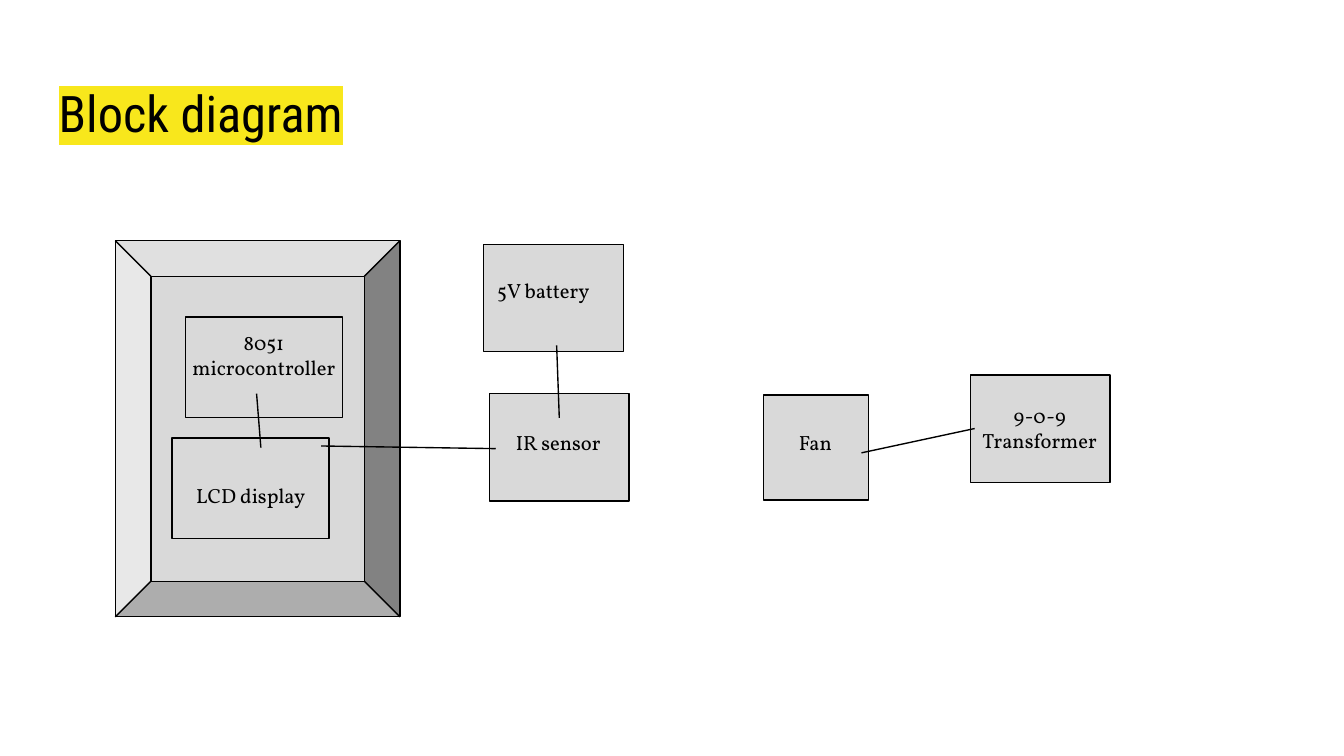
from dataclasses import dataclass

from lxml import etree
from pptx import Presentation
from pptx import util as u
from pptx.dml import color
from pptx.enum import shapes, text
from pptx.oxml import ns

BLACK = "000000"
GREY = "D9D9D9"
YELLOW = "F8E71C"
INSET = u.Cm(0.25)
LABEL_WIDTH = 3.48
LABEL_HEIGHTS = {1: 0.99, 2: 1.45}  # by number of lines


@dataclass(frozen=True)
class Block:
    """A box with a free-standing label; lengths in centimetres."""
    lines: tuple[str, ...]
    position: tuple[float, float]
    size: tuple[float, float]
    label_position: tuple[float, float]


@dataclass(frozen=True)
class Link:
    start: tuple[float, float]
    end: tuple[float, float]


INNER = (2.97, 1.9)
OUTER = (2.64, 2.03)
BLOCKS = (
    Block(("8051", "microcontroller"), (3.51, 5.99), INNER, (3.25, 5.99)),
    Block(("LCD display",), (3.25, 8.28), INNER, (3, 8.89)),
    Block(("IR sensor",), (9.25, 7.44), OUTER, (8.81, 7.9)),
    Block(("Fan",), (14.43, 7.47), (1.98, 1.98), (13.67, 7.9)),
    Block(("5V battery",), (9.14, 4.62), OUTER, (8.53, 5.03)),
    Block(("9-0-9", "Transformer"), (18.34, 7.09), OUTER, (17.91, 7.37)),
)
LINKS = (
    Link((4.85, 7.44), (4.93, 8.46)),    # microcontroller to display
    Link((6.07, 8.43), (9.37, 8.48)),    # display to sensor
    Link((10.52, 6.53), (10.57, 7.9)),   # battery to sensor
    Link((16.28, 8.56), (18.42, 8.1)),   # fan to transformer
)


def rgb(value: str) -> color.RGBColor:
    return color.RGBColor.from_string(value)


def set_outline(shape) -> None:
    shape.line.color.rgb = rgb(BLACK)
    shape.line.width = u.Pt(0.75)


def set_insets(frame) -> None:
    frame.margin_left = frame.margin_right = INSET
    frame.margin_top = frame.margin_bottom = INSET


def add_box(slide, kind, position: tuple[float, float], size: tuple[float, float]):
    shape = slide.shapes.add_shape(kind, *map(u.Cm, position + size))
    shape.shadow.inherit = False
    shape.fill.solid()
    shape.fill.fore_color.rgb = rgb(GREY)
    set_outline(shape)
    return shape


def add_block(slide, block: Block) -> None:
    add_box(slide, shapes.MSO_SHAPE.RECTANGLE, block.position, block.size)
    size = (LABEL_WIDTH, LABEL_HEIGHTS[len(block.lines)])
    label = slide.shapes.add_textbox(*map(u.Cm, block.label_position + size))
    frame = label.text_frame
    frame.word_wrap = True
    frame.auto_size = text.MSO_AUTO_SIZE.SHAPE_TO_FIT_TEXT
    set_insets(frame)
    frame.text = "\n".join(block.lines)
    for paragraph in frame.paragraphs:
        paragraph.alignment = text.PP_ALIGN.CENTER
        paragraph.font.name = "Vollkorn"
        paragraph.font.size = u.Pt(11)
        paragraph.font.color.rgb = rgb(BLACK)


def add_link(slide, link: Link) -> None:
    connector = slide.shapes.add_connector(
        shapes.MSO_CONNECTOR.STRAIGHT, *map(u.Cm, link.start + link.end))
    set_outline(connector)
    etree.SubElement(connector._element.spPr, ns.qn("a:effectLst"))


def highlight(run, value: str) -> None:
    """Mark the run; the highlight must come before the font name."""
    mark = etree.Element(ns.qn("a:highlight"))
    etree.SubElement(mark, ns.qn("a:srgbClr"), val=value)
    run.font._element.find(ns.qn("a:latin")).addprevious(mark)


def set_title(slide, words: str) -> None:
    title = slide.shapes.title
    title.left, title.top = u.Cm(0.86), u.Cm(1.24)
    title.width, title.height = u.Cm(23.67), u.Cm(1.6)
    frame = title.text_frame
    frame.auto_size = text.MSO_AUTO_SIZE.NONE
    frame.vertical_anchor = text.MSO_ANCHOR.TOP
    set_insets(frame)
    frame.margin_top = u.Cm(0.32)
    paragraph = frame.paragraphs[0]
    paragraph.alignment = text.PP_ALIGN.LEFT
    run = paragraph.add_run()
    run.text = words
    run.font.size = u.Pt(27)
    run.font.color.rgb = rgb(BLACK)
    run.font.name = "Roboto Condensed"
    highlight(run, YELLOW)


def main() -> None:
    presentation = Presentation()
    presentation.slide_width = u.Cm(25.4)
    presentation.slide_height = u.Cm(14.29)
    slide = presentation.slides.add_slide(presentation.slide_layouts[5])
    set_title(slide, "Block diagram")
    add_box(slide, shapes.MSO_SHAPE.BEVEL, (2.18, 4.55), (5.38, 7.11))
    for block in BLOCKS:
        add_block(slide, block)
    for link in LINKS:
        add_link(slide, link)
    presentation.save("out.pptx")


if __name__ == "__main__":
    main()
